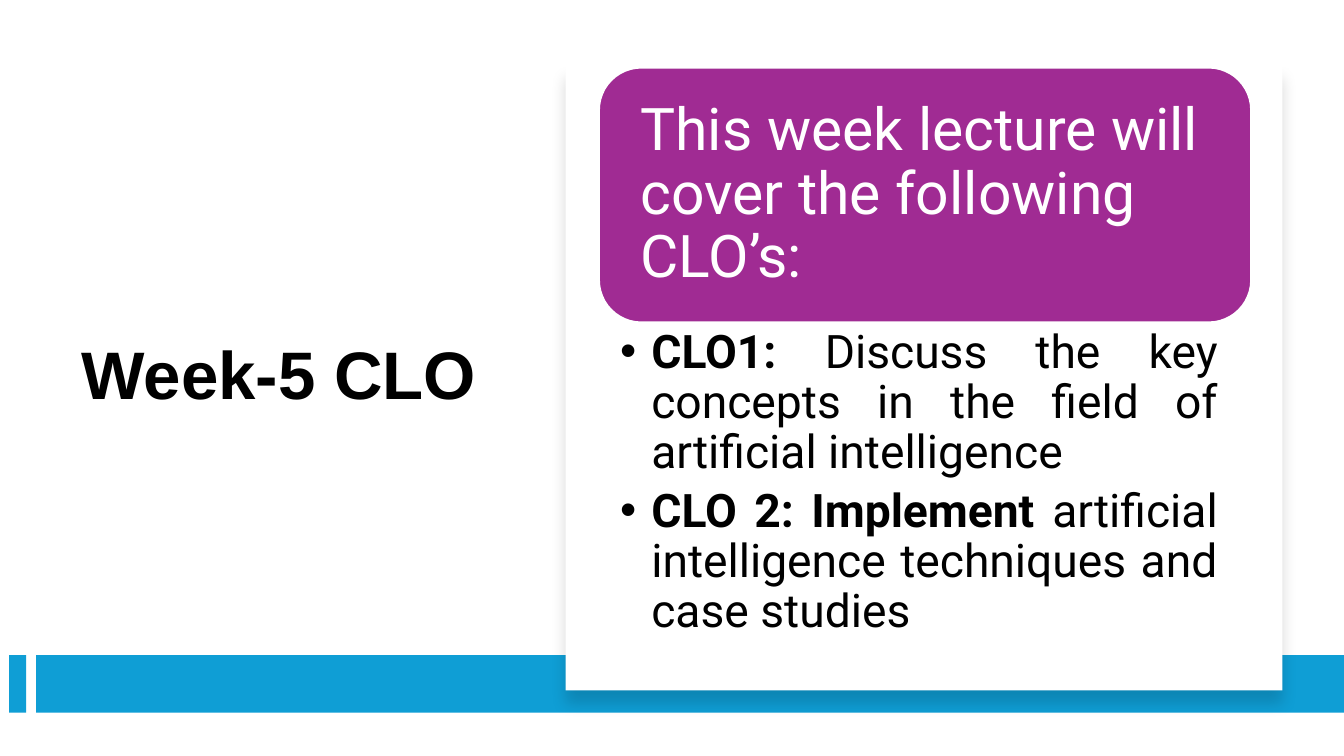
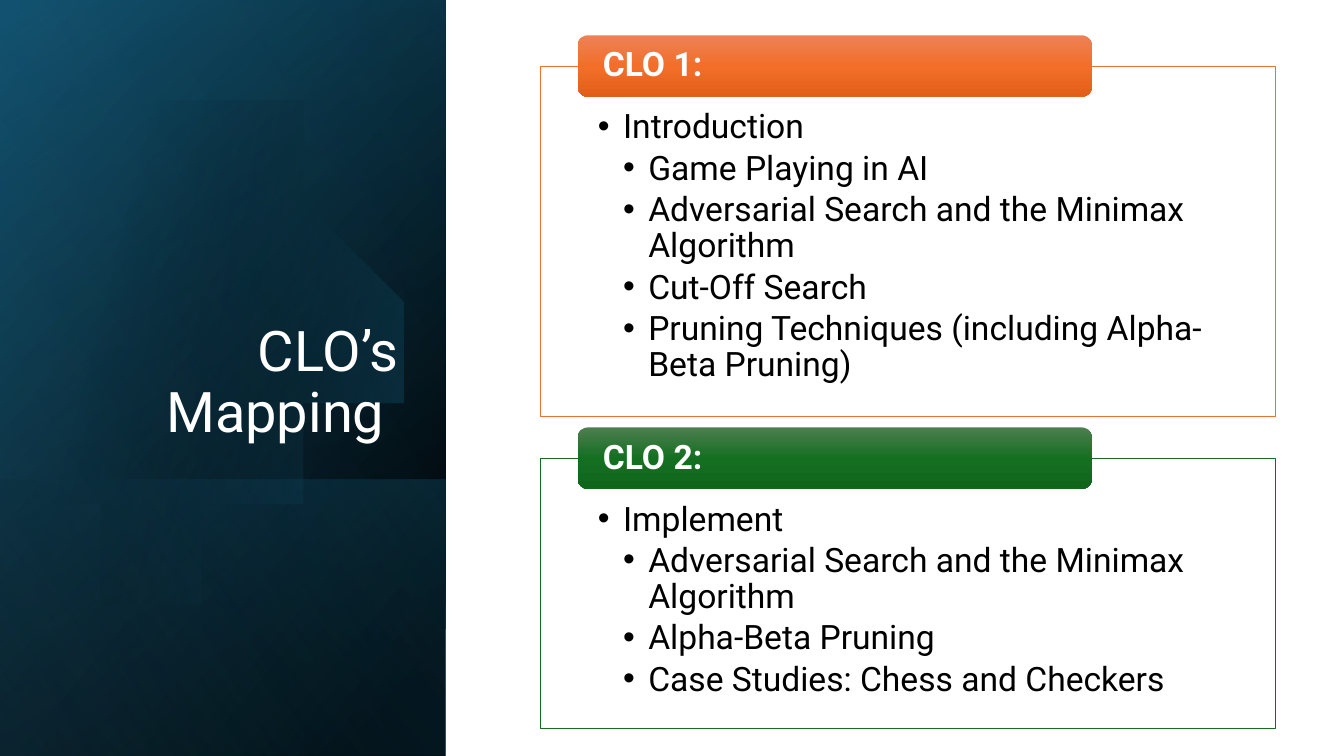
from dataclasses import dataclass

from lxml import etree
from pptx import Presentation
from pptx import util as u
from pptx.dml.color import RGBColor
from pptx.enum import shapes, text
from pptx.oxml import parse_xml
from pptx.oxml.ns import nsdecls, qn

BLUE, PURPLE, ORANGE, GREEN = "0F9ED5", "A02B93", "E97132", "196B24"
WHITE, BLACK, TEAL = "FFFFFF", "000000", "156082"
BODY_FONT = "Roboto"
RECT = shapes.MSO_SHAPE.RECTANGLE
ROUND = shapes.MSO_SHAPE.ROUNDED_RECTANGLE
ALIGN, ANCHOR = text.PP_ALIGN, text.MSO_ANCHOR

Box = tuple[float, float, float, float]
Stop = tuple[int, str, int]  # position %, colour, opacity %
Point = tuple[float, float]


@dataclass
class Run:
    text: str
    bold: bool = False


@dataclass
class Item:
    runs: list[Run]
    level: int = 1


@dataclass
class ListStyle:
    size: int
    indent: float
    after: float
    insets: Box
    align: ALIGN = ALIGN.LEFT


@dataclass
class Layer:
    top: float
    height: float
    stops: list[Stop]
    angle: float


@dataclass
class Card:
    heading: str
    top: float
    height: float
    colour: str
    tab_colours: tuple[str, str, str]
    items: list[Item]


# Shared helpers
def rgb(colour: str) -> RGBColor:
    return RGBColor.from_string(colour)


def apply(obj, values: dict) -> None:
    for name, value in values.items():
        setattr(obj, name, value)


def place(sp, box: Box) -> None:
    apply(sp, dict(zip(("left", "top", "width", "height"), map(u.Inches, box))))


def frame(sp, insets: Box, anchor: ANCHOR):
    tf = sp.text_frame
    names = ("margin_left", "margin_top", "margin_right", "margin_bottom")
    apply(tf, dict(zip(names, map(u.Inches, insets))))
    apply(tf, dict(word_wrap=True, auto_size=text.MSO_AUTO_SIZE.NONE, vertical_anchor=anchor))
    return tf


def add_run(p, content: str, size: float, colour: str, bold=False, font=BODY_FONT) -> None:
    r = p.add_run()
    r.text = content
    apply(r.font, dict(name=font, size=u.Pt(size), bold=bold))
    r.font.color.rgb = rgb(colour)


def space(p, align: ALIGN, after: float = 0) -> None:
    apply(p, dict(alignment=align, line_spacing=0.9, space_before=u.Pt(0), space_after=u.Pt(after)))


def bring_to_front(s, sp) -> None:
    s.shapes._spTree.append(sp._element)


def add_box(s, box: Box, fill: str, kind=RECT, line: str | None = None):
    sp = s.shapes.add_shape(kind, *map(u.Inches, box))
    sp.shadow.inherit = False
    sp.fill.solid()
    sp.fill.fore_color.rgb = rgb(fill)
    if line:
        sp.line.color.rgb = rgb(line)
        sp.line.width = u.Pt(1.5)
    else:
        sp.line.fill.background()
    return sp


def label(sp, content: str, size: float, inset: float, bold=False) -> None:
    p = frame(sp, (inset, 0, inset, 0), ANCHOR.MIDDLE).paragraphs[0]
    space(p, ALIGN.LEFT)
    add_run(p, content, size, WHITE, bold)


def set_title(s, content: str, box: Box, size: float, colour: str, align: ALIGN,
              anchor: ANCHOR, bold=False, font=BODY_FONT) -> None:
    sp = s.shapes.title
    place(sp, box)
    p = frame(sp, (0.1, 0.05, 0.1, 0.05), anchor).paragraphs[0]
    space(p, align)
    add_run(p, content, size, colour, bold, font)
    bring_to_front(s, sp)


def fill_list(s, sp, box: Box, items: list[Item], style: ListStyle) -> None:
    place(sp, box)
    tf = frame(sp, style.insets, ANCHOR.TOP)
    for i, item in enumerate(items):
        p = tf.add_paragraph() if i else tf.paragraphs[0]
        p.level = item.level
        pPr = p._p.get_or_add_pPr()
        pPr.set("marL", str(u.Inches(style.indent * item.level)))
        pPr.set("indent", str(-u.Inches(style.indent)))
        etree.SubElement(pPr, qn("a:buFont")).set("typeface", "Arial")
        etree.SubElement(pPr, qn("a:buChar")).set("char", "•")
        space(p, style.align, style.after)
        for run in item.runs:
            add_run(p, run.text, style.size, BLACK, run.bold)
    bring_to_front(s, sp)


def set_gradient(sp, stops: list[Stop], angle: float) -> None:
    sp.shadow.inherit = False
    sp.line.fill.background()
    sp.fill.background()
    gs = "".join(
        f'<a:gs pos="{pos * 1000}"><a:srgbClr val="{colour}">'
        f'<a:alpha val="{alpha * 1000}"/></a:srgbClr></a:gs>'
        for pos, colour, alpha in stops)
    grad = parse_xml(
        f'<a:gradFill {nsdecls("a")} rotWithShape="1"><a:gsLst>{gs}</a:gsLst>'
        f'<a:lin ang="{int(angle * 60000)}" scaled="0"/></a:gradFill>')
    spPr = sp._element.spPr
    spPr.replace(spPr.find(qn("a:noFill")), grad)


def add_soft_shadow(sp) -> None:
    effects = sp._element.spPr.find(qn("a:effectLst"))
    effects.append(parse_xml(
        f'<a:outerShdw {nsdecls("a")} blurRad="{u.Pt(11)}" dist="{u.Pt(10)}" dir="5400000" '
        f'algn="t" rotWithShape="0"><a:srgbClr val="{BLACK}"><a:alpha val="15000"/>'
        '</a:srgbClr></a:outerShdw>'))


# Slide 1: learning outcomes
OUTCOMES = [
    Item([Run("CLO1: ", True),
          Run("Discuss the key concepts in the field of artificial intelligence")]),
    Item([Run("CLO 2: Implement ", True),
          Run("artificial intelligence techniques and case studies")]),
]
OUTCOME_STYLE = ListStyle(33, 0.31, 6.6, (0.21, 0.06, 0.33, 0.06), ALIGN.JUSTIFY)


def build_outcomes(prs) -> None:
    s = prs.slides.add_slide(prs.slide_layouts[1])
    set_title(s, "Week-5 CLO", (0.71, 1.2, 4.15, 5.1), 48, BLACK, ALIGN.LEFT,
              ANCHOR.MIDDLE, True, "Arial")
    # Bottom band and white panel
    for left, width in ((0.09, 0.17), (0.36, 12.97)):
        add_box(s, (left, 6.5, width, 0.57), BLUE)
    add_soft_shadow(add_box(s, (5.61, 0.64, 7.11, 6.21), WHITE))
    # Heading and list
    heading = add_box(s, (5.94, 0.67, 6.47, 2.53), PURPLE, ROUND, WHITE)
    label(heading, "This week lecture will cover the following CLO’s:", 42, 0.29)
    fill_list(s, s.placeholders[1], (5.94, 3.2, 6.47, 3.33), OUTCOMES, OUTCOME_STYLE)


# Slide 2: outcome mapping
SIDE_WIDTH, SIDE_HEIGHT = 4.42, 7.5
LAYERS = [
    Layer(0, SIDE_HEIGHT, [(8, BLACK, 100), (100, "104862", 100)], 50),
    Layer(0, SIDE_HEIGHT, [(0, BLACK, 0), (99, TEAL, 46)], 30),
    Layer(4.76, 2.74, [(2, TEAL, 29), (100, BLACK, 30)], 130),
]
GLOW = Layer(0, SIDE_HEIGHT, [(0, BLACK, 0), (99, "46B1E1", 11)], 120)
DISC_START = (1.49, 1.1)
# Each segment holds either one end point or two control points and an end point
DISC = [
    [(2.46, 1.12), (3.35, 1.77), (3.63, 2.75)],
    [(3.98, 3.97), (3.28, 5.23), (2.07, 5.58)],
    [(1.31, 5.8), (0.53, 5.61), (-0.03, 5.14)],
    [(-0.15, 5.03)], [(-0.15, 1.75)], [(0, 1.61)],
    [(0.23, 1.42), (0.5, 1.28), (0.8, 1.19)],
    [(1.03, 1.13), (1.26, 1.1), DISC_START],
]


def topics(first: str, *rest: str) -> list[Item]:
    return [Item([Run(first)])] + [Item([Run(t)], 2) for t in rest]


MINIMAX = "Adversarial Search and the Minimax Algorithm"
CARDS = [
    Card("CLO 1:", 0.66, 3.47, ORANGE, ("ED8257", "F26E29", "E25F1A"),
         topics("Introduction", "Game Playing in AI", MINIMAX, "Cut-Off Search",
                "Pruning Techniques (including Alpha-Beta Pruning)")),
    Card("CLO 2:", 4.55, 2.68, GREEN, ("4D7E50", "156F21", "0F661B"),
         topics("Implement", MINIMAX, "Alpha-Beta Pruning",
                "Case Studies: Chess and Checkers")),
]
CARD_STYLE = ListStyle(24, 0.25, 3.6, (0.57, 0.43, 0.57, 0.19))


def add_layer(s, layer: Layer) -> None:
    """Draw a side layer as a mirrored rectangle turned a quarter."""
    mid_x, mid_y = SIDE_WIDTH / 2, layer.top + layer.height / 2
    box = (mid_x - layer.height / 2, mid_y - SIDE_WIDTH / 2, layer.height, SIDE_WIDTH)
    sp = add_box(s, box, BLACK)
    sp.rotation = 90
    sp._element.spPr.get_or_add_xfrm().set("flipH", "1")
    set_gradient(sp, layer.stops, layer.angle)


def curve(start: Point, c1: Point, c2: Point, end: Point, steps: int = 24) -> list[Point]:
    def at(t: float, axis: int) -> float:
        a, b, c, d = (pt[axis] for pt in (start, c1, c2, end))
        v = 1 - t
        return a * v**3 + 3 * b * v * v * t + 3 * c * v * t * t + d * t**3
    return [(at(i / steps, 0), at(i / steps, 1)) for i in range(1, steps + 1)]


def add_disc(s) -> None:
    points = [DISC_START]
    for segment in DISC:
        points += curve(points[-1], *segment) if len(segment) == 3 else segment
    builder = s.shapes.build_freeform(*DISC_START, scale=u.Inches(1))
    builder.add_line_segments(points[1:], close=True)
    set_gradient(builder.convert_to_shape(), [(29, BLACK, 0), (100, TEAL, 43)], 14)


def add_card(s, sp, card: Card) -> None:
    fill_list(s, sp, (5.36, card.top, 7.29, card.height), card.items, CARD_STYLE)
    sp.fill.solid()
    sp.fill.fore_color.rgb = rgb(WHITE)
    sp.line.color.rgb = rgb(card.colour)
    sp.line.width = u.Pt(1)
    tab = add_box(s, (5.73, card.top - 0.31, 5.1, 0.61), card.colour, ROUND)
    set_gradient(tab, [(i * 50, c, 100) for i, c in enumerate(card.tab_colours)], 90)
    label(tab, card.heading, 24, 0.22, True)


def build_mapping(prs) -> None:
    s = prs.slides.add_slide(prs.slide_layouts[3])
    # Dark side panel
    for layer in LAYERS:
        add_layer(s, layer)
    add_disc(s)
    add_layer(s, GLOW)
    set_title(s, "CLO’s Mapping ", (0.64, 1.84, 3.41, 2.62), 40, WHITE, ALIGN.RIGHT,
              ANCHOR.BOTTOM)
    # Outcome cards
    for idx, card in enumerate(CARDS, 1):
        add_card(s, s.placeholders[idx], card)


def main() -> None:
    prs = Presentation()
    apply(prs, dict(slide_width=u.Inches(13.33), slide_height=u.Inches(7.5)))
    build_outcomes(prs)
    build_mapping(prs)
    prs.save("out.pptx")


if __name__ == "__main__":
    main()
